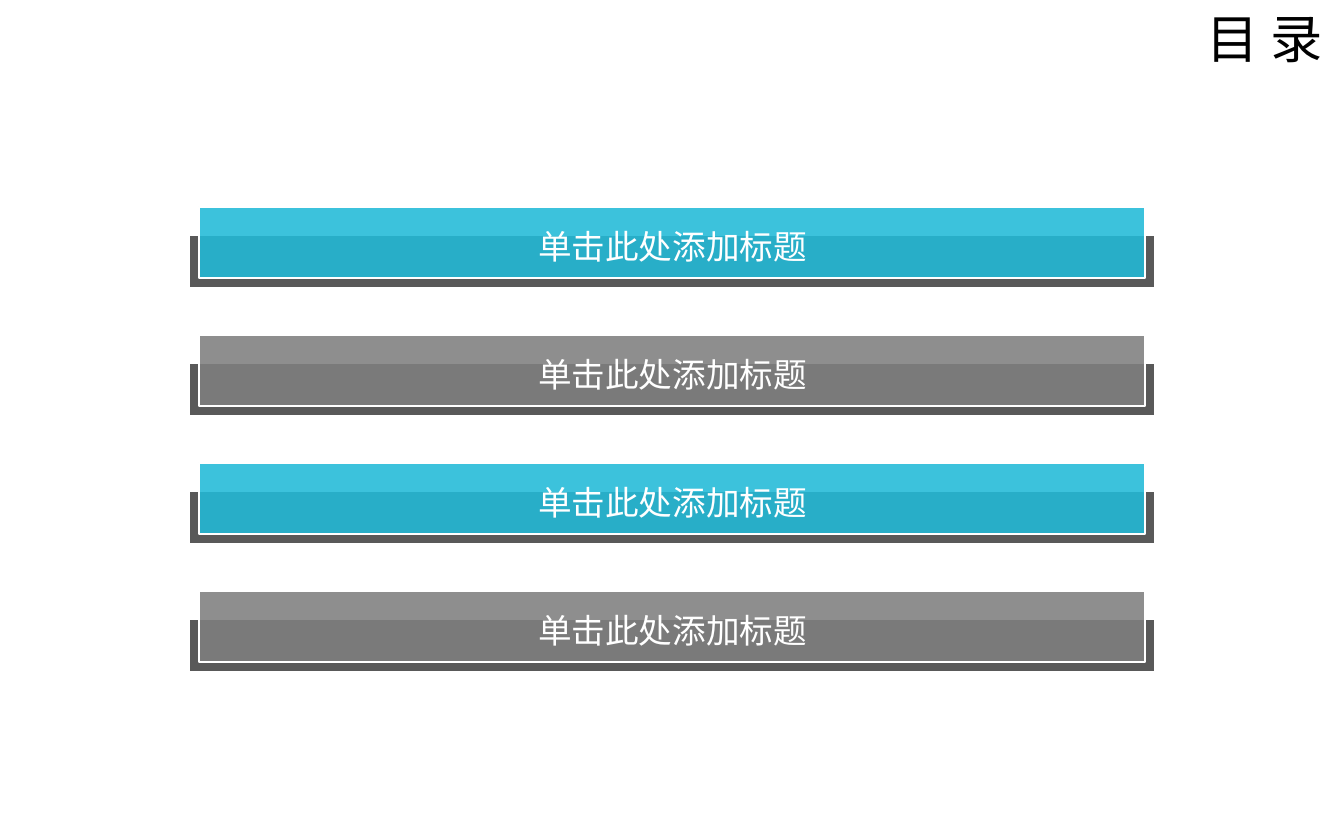
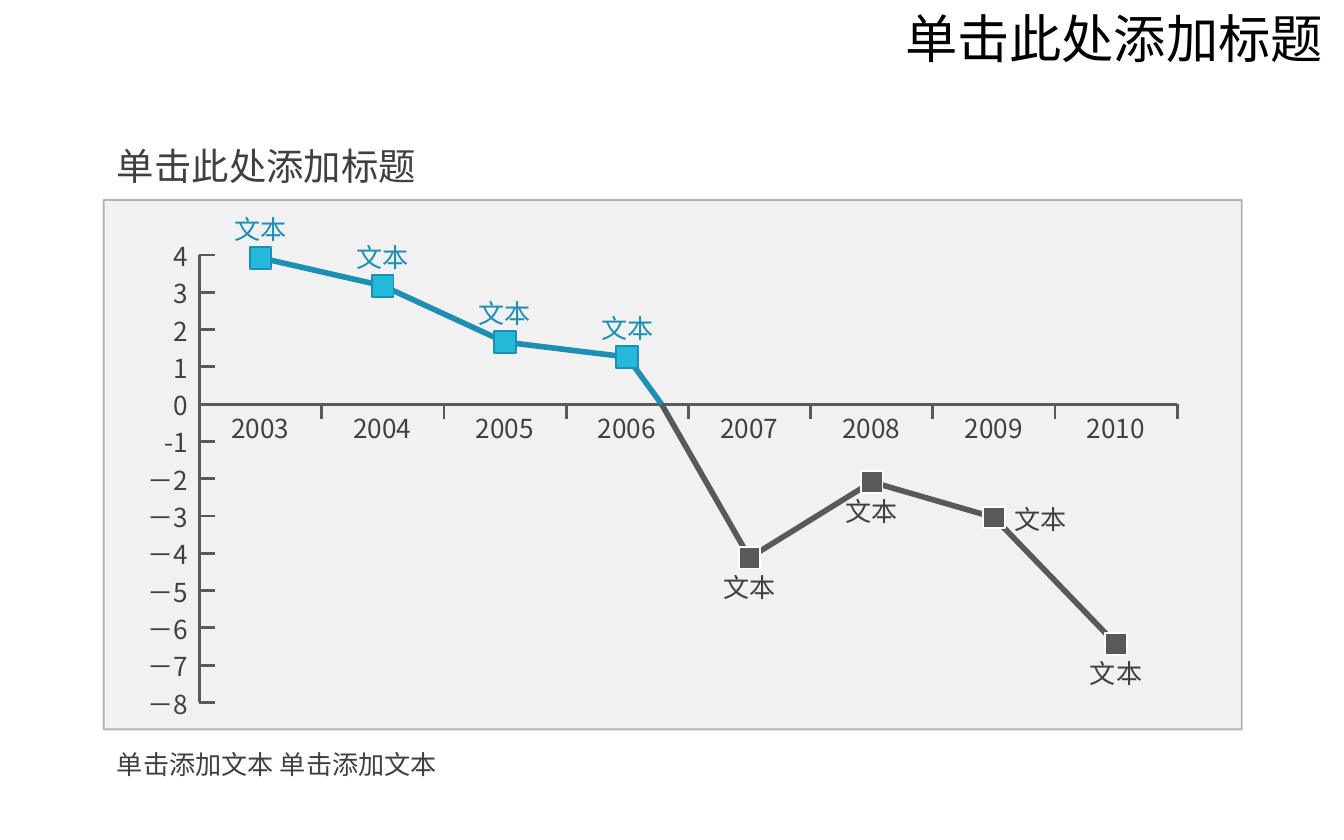
from pptx import Presentation
from pptx.dml.color import RGBColor
from pptx.enum.shapes import MSO_CONNECTOR, MSO_SHAPE
from pptx.enum.text import MSO_ANCHOR, MSO_AUTO_SIZE, PP_ALIGN
from pptx.oxml.xmlchemy import OxmlElement
from pptx.util import Cm, Pt

LEFT, CENTER, RIGHT = PP_ALIGN.LEFT, PP_ALIGN.CENTER, PP_ALIGN.RIGHT
TOP = MSO_ANCHOR.TOP
NO_FIT = MSO_AUTO_SIZE.NONE
RECT = MSO_SHAPE.RECTANGLE
STRAIGHT = MSO_CONNECTOR.STRAIGHT

FONT = "Noto Sans CJK SC"
COLORS = {
    "black": "000000",
    "white": "FFFFFF",
    "text": "404040",
    "dark": "595959",
    "grey": "7F7F7F",
    "cyan": "22BAD8",
    "blue": "1E8FB2",
}

AGENDA_TITLE = "目 录"
AGENDA = [
    ("单击此处添加标题", "cyan"),
    ("单击此处添加标题", "grey"),
    ("单击此处添加标题", "cyan"),
    ("单击此处添加标题", "grey"),
]

TREND_TITLE = "单击此处添加标题"
TREND_HEADING = "单击此处添加标题"
TREND_NOTE = "单击添加文本 单击添加文本"
SCALE = ["4", "3", "2", "1", "0", "-1", "－2", "－3", "－4", "－5", "－6", "－7", "－8"]
FIRST_YEAR = 2003
CROSSING = (2006.28, 0)
GAINS = [
    (2003, 3.92, "文本", "above"),
    (2004, 3.17, "文本", "above"),
    (2005, 1.66, "文本", "above"),
    (2006, 1.26, "文本", "above"),
]
LOSSES = [
    (2007, -4.12, "文本", "below"),
    (2008, -2.09, "文本", "below"),
    (2009, -3.04, "文本", "right"),
    (2010, -6.44, "文本", "below"),
]
YEARS = [point[0] for point in GAINS + LOSSES]

AXIS_LEFT, AXIS_TOP, AXIS_HEIGHT = 3.77, 4.82, 8.46
UNIT = AXIS_HEIGHT / (len(SCALE) - 1)
ZERO = AXIS_TOP + SCALE.index("0") * UNIT
YEAR_WIDTH = 2.31
AXIS_RIGHT = AXIS_LEFT + len(YEARS) * YEAR_WIDTH
TICK = 0.29
MARKER = 0.41
LABEL_WIDTH, LABEL_HEIGHT = 1.73, 0.86
LABEL_OFFSETS = {
    "above": (-LABEL_WIDTH / 2, -0.97, CENTER),
    "below": (-LABEL_WIDTH / 2, 0.13, CENTER),
    "right": (0.13, -0.4, LEFT),
}


def rgb(color):
    return RGBColor.from_string(COLORS[color])


def set_alpha(paint, percent):
    alpha = OxmlElement("a:alpha")
    alpha.set("val", str(percent * 1000))
    paint.find(".//{*}srgbClr").append(alpha)


def write(box, text, size=14, color="text", align=LEFT, spacing=None):
    frame = box.text_frame
    frame.word_wrap = True
    frame.auto_size = NO_FIT
    frame.vertical_anchor = TOP
    paragraph = frame.paragraphs[0]
    paragraph.alignment = align
    paragraph.space_before = Pt(0)
    if spacing:
        paragraph.line_spacing = spacing
    run = paragraph.add_run()
    run.text = text
    run.font.size = Pt(size)
    run.font.color.rgb = rgb(color)
    run.font.name = FONT
    east_asian = OxmlElement("a:ea")
    east_asian.set("typeface", FONT)
    run.font._element.append(east_asian)


def add_text(slide, text, left, top, width, height, **style):
    box = slide.shapes.add_textbox(Cm(left), Cm(top), Cm(width), Cm(height))
    write(box, text, **style)


def add_rect(slide, left, top, width, height, fill, line, fill_alpha=100, line_alpha=100):
    rect = slide.shapes.add_shape(RECT, Cm(left), Cm(top), Cm(width), Cm(height))
    rect.shadow.inherit = False
    rect.fill.solid()
    rect.fill.fore_color.rgb = rgb(fill)
    rect.line.color.rgb = rgb(line)
    rect.line.width = Pt(1)
    if fill_alpha < 100:
        set_alpha(rect._element.spPr.find("{*}solidFill"), fill_alpha)
    if line_alpha < 100:
        set_alpha(rect._element.spPr.find("{*}ln"), line_alpha)


def add_line(slide, x1, y1, x2, y2):
    line = slide.shapes.add_connector(STRAIGHT, Cm(x1), Cm(y1), Cm(x2), Cm(y2))
    line.line.color.rgb = rgb("dark")
    line.line.width = Pt(1.5)
    line._element.spPr.append(OxmlElement("a:effectLst"))


def add_titled_slide(prs, title, width):
    slide = prs.slides.add_slide(prs.slide_layouts[5])
    heading = slide.shapes.title
    heading.left, heading.top = Cm(25.25 - width), Cm(-0.25)
    heading.width, heading.height = Cm(width), Cm(1.68)
    write(heading, title, size=28, color="black", align=RIGHT, spacing=1.2)
    return slide


def build_agenda(prs):
    slide = add_titled_slide(prs, AGENDA_TITLE, 4.19)
    for index, (entry, color) in enumerate(AGENDA):
        top = 3.91 + index * 2.42
        add_rect(slide, 3.58, top + 0.54, 18.24, 0.99, "dark", "white")
        add_rect(slide, 3.76, top, 17.88, 1.35, color, "white", fill_alpha=88)
        add_text(slide, entry, 8.76, top + 0.24, 7.9, 1.02,
                 size=18, color="white", align=CENTER)


def locate(year, value):
    return AXIS_LEFT + (year - FIRST_YEAR + 0.5) * YEAR_WIDTH, ZERO - value * UNIT


def draw_axes(slide):
    for index, year in enumerate(YEARS):
        left = AXIS_LEFT + index * YEAR_WIDTH
        add_text(slide, str(year), left + 0.05, ZERO + 0.03, 2.2, LABEL_HEIGHT, align=CENTER)
        tick = left + YEAR_WIDTH
        add_line(slide, tick, ZERO, tick, ZERO + TICK)
    for index, label in enumerate(SCALE):
        y = AXIS_TOP + index * UNIT
        add_text(slide, label, 2.31, y - 0.4, 1.5, LABEL_HEIGHT, align=RIGHT)
        add_line(slide, AXIS_LEFT, y, AXIS_LEFT + TICK, y)
    add_line(slide, AXIS_LEFT, ZERO, AXIS_RIGHT, ZERO)
    add_line(slide, AXIS_LEFT, AXIS_TOP, AXIS_LEFT, AXIS_TOP + AXIS_HEIGHT)


def draw_curve(slide, points, color):
    corners = [tuple(Cm(length) for length in locate(*point)) for point in points]
    outline = slide.shapes.build_freeform(*corners[0])
    outline.add_line_segments(corners[1:], close=False)
    curve = outline.convert_to_shape()
    curve.shadow.inherit = False
    curve.fill.background()
    curve.line.color.rgb = rgb(color)
    curve.line.width = Pt(3)


def draw_points(slide, points, fill, line, label_color):
    for year, value, label, side in points:
        x, y = locate(year, value)
        add_rect(slide, x - MARKER / 2, y - MARKER / 2, MARKER, MARKER, fill, line)
        dx, dy, align = LABEL_OFFSETS[side]
        add_text(slide, label, x + dx, y + dy, LABEL_WIDTH, LABEL_HEIGHT,
                 color=label_color, align=align)


def build_trend(prs):
    slide = add_titled_slide(prs, TREND_TITLE, 10.77)
    add_rect(slide, 1.96, 3.78, 21.51, 10.01, "grey", "grey", fill_alpha=10, line_alpha=55)
    draw_axes(slide)
    add_text(slide, TREND_HEADING, 1.96, 2.59, 9.02, 1.12, size=20)
    add_text(slide, TREND_NOTE, 1.96, 14.02, 21.46, LABEL_HEIGHT)
    draw_curve(slide, [point[:2] for point in GAINS] + [CROSSING], "blue")
    draw_curve(slide, [CROSSING] + [point[:2] for point in LOSSES], "dark")
    draw_points(slide, GAINS, "cyan", "blue", "blue")
    draw_points(slide, LOSSES, "dark", "white", "text")


def main():
    prs = Presentation()
    prs.slide_width, prs.slide_height = Cm(25.4), Cm(15.88)
    build_agenda(prs)
    build_trend(prs)
    prs.save("out.pptx")


if __name__ == "__main__":
    main()
